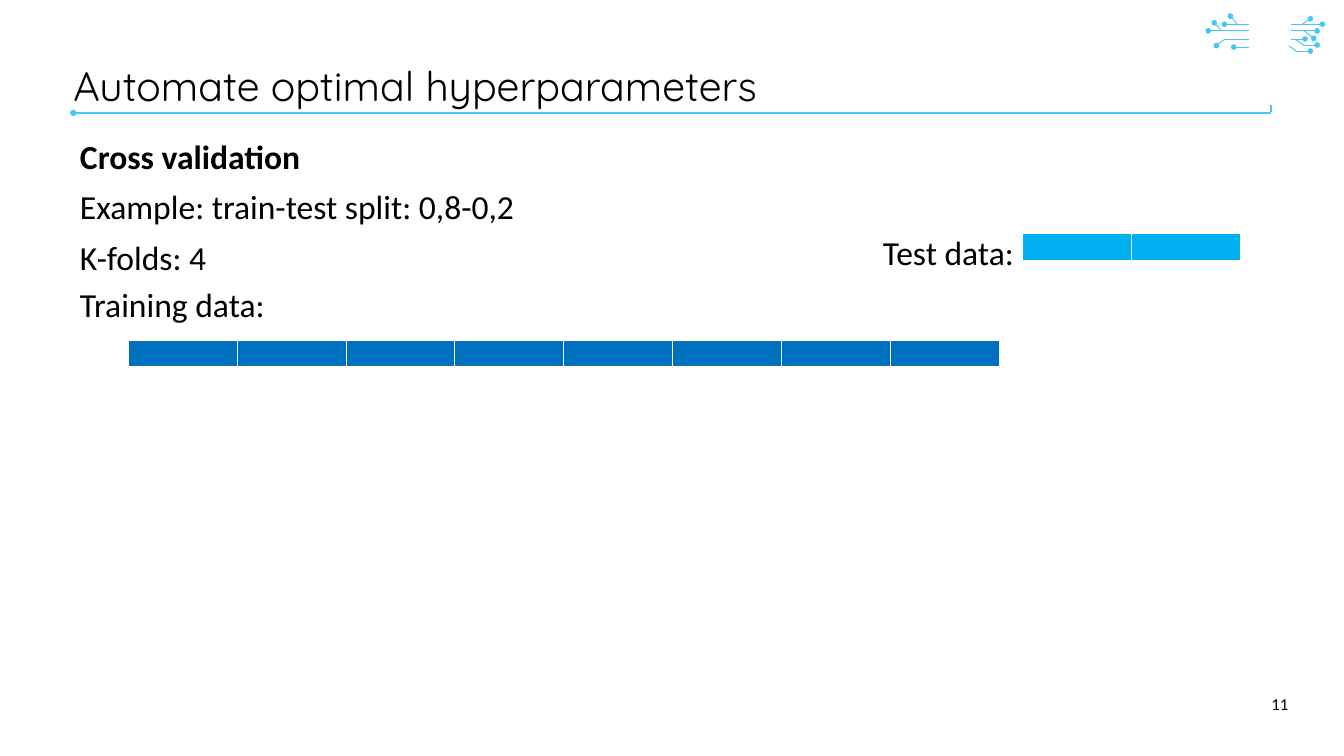
import pptx
import pptx.dml.color
import pptx.enum.shapes
import pptx.enum.text
import pptx.oxml
import pptx.oxml.ns
import pptx.util
from pptx.util import Inches

ALIGN = pptx.enum.text.PP_ALIGN
ANCHOR = pptx.enum.text.MSO_ANCHOR

# Content
TITLE = "Automate optimal hyperparameters"
BODY = [("Cross validation", True), ("Example: train-test split: 0,8-0,2", False), ("K-folds: 4", False)]
PAGE_NUMBER = "11"
LABELS = [("Training data:", (1.09, 4.17, 3.62, 0.71)), ("Test data:", (13.04, 3.4, 2.18, 0.71))]
# left, top, number of cells, colour
DATA_BARS = [(1.91, 5.06, 8, "0070C0"), (15.22, 3.48, 2, "00B0F0")]
CELL_WIDTH, CELL_HEIGHT = 1.62, 0.41

# Circuit traces: x1, y1, x2, y2
ACCENT = "44C8F5"
DOTTED_TRACES = [
    (18.58, 0.36, 18.22, 0.36), (18.58, 0.46, 17.98, 0.46), (18.23, 0.58, 18.1, 0.68),
    (18.58, 0.7, 18.36, 0.7), (18.41, 0.36, 18.31, 0.24), (18.18, 0.46, 18.07, 0.34),
    (19.21, 0.46, 19.6, 0.46), (19.4, 0.67, 19.6, 0.67), (19.21, 0.58, 19.42, 0.58),
    (19.41, 0.46, 19.55, 0.57), (19.21, 0.36, 19.68, 0.36), (19.3, 0.76, 19.5, 0.76),
    (19.38, 0.36, 19.5, 0.28),
]
PLAIN_TRACES = [(18.58, 0.58, 18.22, 0.58), (19.41, 0.68, 19.27, 0.58), (19.3, 0.77, 19.18, 0.68)]


def color(value):
    return pptx.dml.color.RGBColor.from_string(value)


def add_element(parent, xml):
    tag, rest = xml[1:].split(" ", 1) if " " in xml else (xml[1:-2], "/>")
    element = pptx.oxml.parse_xml(f"<{tag} {pptx.oxml.ns.nsdecls('a')} {rest}")
    parent.append(element)


def place(shape, left, top, width, height):
    shape.left, shape.top = Inches(left), Inches(top)
    shape.width, shape.height = Inches(width), Inches(height)


def write(frame, text, size=36, font="Calibri", bold=False, align=ALIGN.LEFT,
          line_spacing=1.0, space_before=0, plain_list=False):
    """Fill the frame's empty first paragraph, or append a new one."""
    paragraph = frame.paragraphs[0] if not frame.text else frame.add_paragraph()
    paragraph.alignment = align
    paragraph.line_spacing = line_spacing
    paragraph.space_before = pptx.util.Pt(space_before)
    if plain_list:
        properties = paragraph._p.get_or_add_pPr()
        properties.set("marL", "0")
        properties.set("indent", "0")
        add_element(properties, "<a:buNone/>")
    run = paragraph.add_run()
    run.text = text
    run.font.size, run.font.name, run.font.bold = pptx.util.Pt(size), font, bold
    run.font.color.rgb = color("000000")


def add_label(slide, text, box, anchor=ANCHOR.TOP, **text_format):
    shape = slide.shapes.add_textbox(*map(Inches, box))
    shape.text_frame.word_wrap = True
    shape.text_frame.vertical_anchor = anchor
    write(shape.text_frame, text, **text_format)


def add_line(slide, x1, y1, x2, y2, width=1, head=False, tail=False):
    line = slide.shapes.add_connector(
        pptx.enum.shapes.MSO_CONNECTOR.STRAIGHT, *map(Inches, (x1, y1, x2, y2)))
    line.line.color.rgb = color(ACCENT)
    line.line.width = pptx.util.Pt(width)
    properties = line.line._get_or_add_ln()
    for end, shown in (("headEnd", head), ("tailEnd", tail)):
        if shown:
            add_element(properties, f'<a:{end} type="oval"/>')
    add_element(line._element.spPr, "<a:effectLst/>")


def add_data_bar(slide, left, top, count, fill):
    table = slide.shapes.add_table(
        1, count, Inches(left), Inches(top),
        Inches(CELL_WIDTH * count), Inches(CELL_HEIGHT)).table
    table.first_row = table.horz_banding = False
    for column in table.columns:
        column.width = Inches(CELL_WIDTH)
    for cell in table.iter_cells():
        properties = cell._tc.get_or_add_tcPr()
        for side, points in (("L", 1), ("R", 1), ("T", 1), ("B", 3)):
            add_element(properties, f'<a:ln{side} w="{pptx.util.Pt(points)}"><a:solidFill>'
                        f'<a:srgbClr val="FFFFFF"/></a:solidFill></a:ln{side}>')
        cell.fill.solid()
        cell.fill.fore_color.rgb = color(fill)


def main():
    presentation = pptx.Presentation()
    presentation.slide_width, presentation.slide_height = Inches(20), Inches(11.25)
    slide = presentation.slides.add_slide(presentation.slide_layouts[1])

    # Circuit ornament and title rule
    for trace in DOTTED_TRACES:
        add_line(slide, *trace, tail=True)
    for trace in PLAIN_TRACES:
        add_line(slide, *trace)
    add_line(slide, 1.09, 1.68, 18.91, 1.68, width=2.25, head=True)
    add_line(slide, 18.91, 1.67, 18.91, 1.57, width=2.25)

    # Title
    title = slide.shapes.title
    place(title, 1.09, 0.97, 16.39, 0.69)
    frame = title.text_frame
    frame.margin_left = frame.margin_right = frame.margin_top = frame.margin_bottom = 0
    frame.vertical_anchor = ANCHOR.MIDDLE
    frame.auto_size = pptx.enum.text.MSO_AUTO_SIZE.NONE
    write(frame, TITLE, size=44, font="Quicksand", line_spacing=0.9)

    # Body
    body = slide.placeholders[1]
    place(body, 1.09, 2.04, 18.13, 6.68)
    body.text_frame.auto_size = pptx.enum.text.MSO_AUTO_SIZE.NONE
    for index, (text, bold) in enumerate(BODY):
        write(body.text_frame, text, bold=bold, line_spacing=0.9,
              space_before=15 if index else 0, plain_list=True)

    # Data split
    for bar in DATA_BARS:
        add_data_bar(slide, *bar)
    for text, box in LABELS:
        add_label(slide, text, box)

    # Page number
    add_label(slide, PAGE_NUMBER, (18.18, 10.18, 1.09, 0.6), anchor=ANCHOR.MIDDLE,
              size=18, align=ALIGN.RIGHT)

    presentation.save("out.pptx")


if __name__ == "__main__":
    main()
